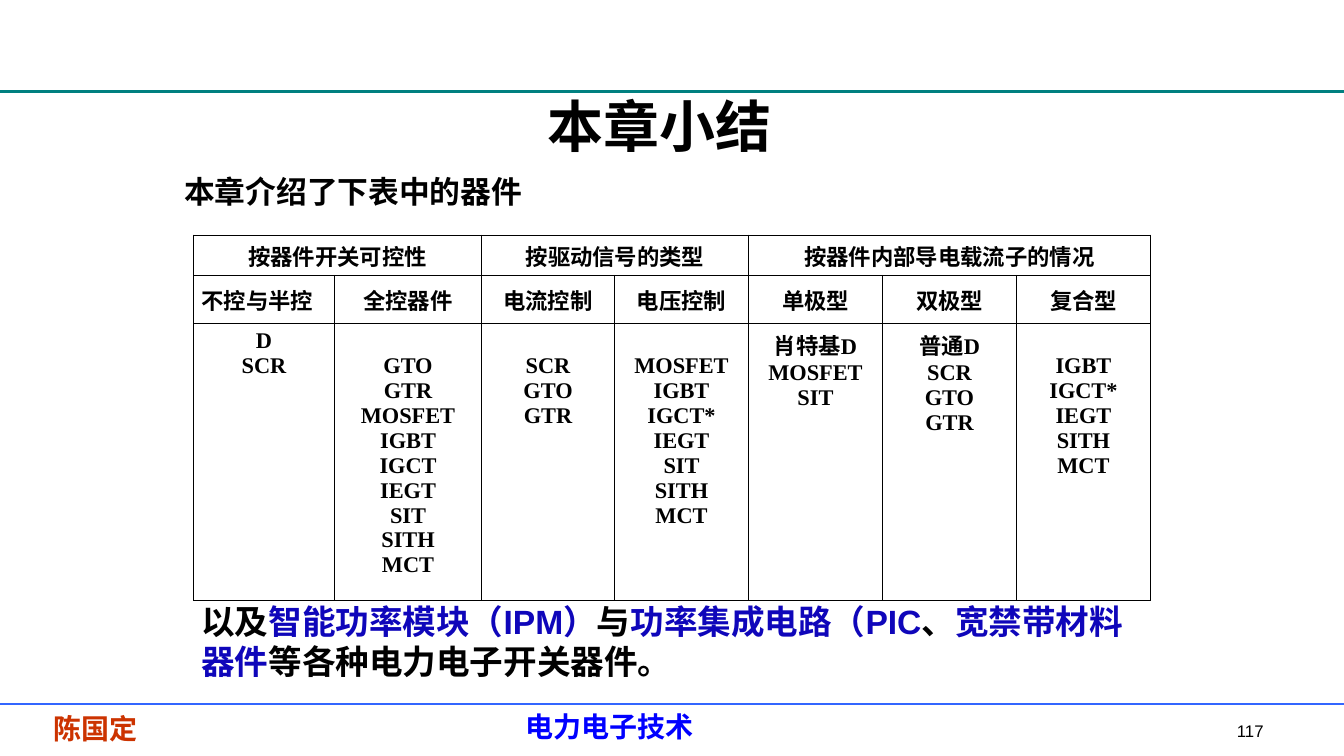
from dataclasses import dataclass

from lxml import etree
from pptx import Presentation
from pptx import util as u
from pptx.dml import color
from pptx.enum import shapes, text
from pptx.oxml import ns


@dataclass(frozen=True)
class Theme:
    black: str = "000000"
    accent: str = "0F06BA"
    teal: str = "008080"
    blue: str = "3366FF"
    course: str = "0000FF"
    author: str = "CC3300"
    title: float = 40
    intro: float = 22
    closing: float = 24
    footer: float = 20
    number: float = 12
    table: float = 16
    border: float = 0.45
    heading_font: str = "Calibri"
    body_font: str = "Arial"
    table_font: str = "Times New Roman"


THEME = Theme()
CENTER = text.PP_ALIGN.CENTER
JUSTIFY = text.PP_ALIGN.JUSTIFY
MIDDLE = text.MSO_ANCHOR.MIDDLE

COLUMN_WIDTHS = [1.4, 1.46, 1.32] + [1.33] * 4
ROW_HEIGHTS = [0.4, 0.48, 2.74]
GROUPS = [("按器件开关可控性", 2), ("按驱动信号的类型", 2), ("按器件内部导电载流子的情况", 3)]
CLASSES = [
    ("不控与半控", 0.05, ["D", "SCR"]),
    ("全控器件", 0.3, ["GTO", "GTR", "MOSFET", "IGBT", "IGCT", "IEGT", "SIT", "SITH", "MCT"]),
    ("电流控制", 0.3, ["SCR", "GTO", "GTR"]),
    ("电压控制", 0.3, ["MOSFET", "IGBT", "IGCT*", "IEGT", "SIT", "SITH", "MCT"]),
    ("单极型", 0.05, ["肖特基D", "MOSFET", "SIT"]),
    ("双极型", 0.05, ["普通D", "SCR", "GTO", "GTR"]),
    ("复合型", 0.3, ["IGBT", "IGCT*", "IEGT", "SITH", "MCT"]),
]
CLOSING = [
    ("以及", THEME.black),
    ("智能功率模块（IPM）", THEME.accent),
    ("与", THEME.black),
    ("功率集成电路（PIC", THEME.accent),
    ("、", THEME.black),
    ("宽禁带材料器件", THEME.accent),
    ("等各种电力电子开关器件。", THEME.black),
]


def add_run(paragraph, words, size, font, tint=THEME.black, bold=True):
    run = paragraph.add_run()
    run.text = words
    run.font.size = u.Pt(size)
    run.font.name = font
    run.font.bold = bold
    run.font.color.rgb = color.RGBColor.from_string(tint)


def add_text(slide, box, runs, size, font, align=None, spacing=None,
             margins=(0.1, 0.05), wrap=True, bold=True):
    frame = slide.shapes.add_textbox(*map(u.Inches, box)).text_frame
    frame.word_wrap = wrap
    frame.margin_left = frame.margin_right = u.Inches(margins[0])
    frame.margin_top = frame.margin_bottom = u.Inches(margins[1])
    paragraph = frame.paragraphs[0]
    paragraph.alignment = align
    paragraph.line_spacing = spacing
    for words, tint in runs:
        add_run(paragraph, words, size, font, tint, bold)


def add_rule(slide, box, tint, weight):
    left, top, width = box
    rule = slide.shapes.add_connector(
        shapes.MSO_CONNECTOR.STRAIGHT,
        *map(u.Inches, (left, top, left + width, top)))
    rule.line.color.rgb = color.RGBColor.from_string(tint)
    rule.line.width = u.Pt(weight)
    etree.SubElement(rule._element.spPr, ns.qn("a:effectLst"))


def add_frame(slide, box):
    left, top, width, height = box
    add_rule(slide, (left, top + 0.91, width), THEME.teal, 2)
    add_rule(slide, (left, top + 6.98, width), THEME.blue, 1.5)
    add_text(slide, (left + 5.12, top + 7.04, 1.87, 0.33), [("电力电子技术", THEME.course)],
             THEME.footer, THEME.body_font, margins=(0.1, 0), wrap=False)
    add_text(slide, (left, top + 7.06, 1.89, 0.33), [("陈国定", THEME.author)],
             THEME.footer, THEME.body_font, CENTER, margins=(0, 0))
    add_text(slide, (left + 12, top + 7.1, 0.82, 0.3), [("117", THEME.black)],
             THEME.number, THEME.body_font, CENTER, bold=False)


def add_title(slide, box):
    title = slide.shapes.title
    title.left, title.top, title.width, title.height = map(u.Inches, box)
    frame = title.text_frame
    frame.auto_size = text.MSO_AUTO_SIZE.NONE
    frame.vertical_anchor = MIDDLE
    heading = frame.paragraphs[0]
    heading.alignment = CENTER
    heading.line_spacing = 0.9
    add_run(heading, "本章小结", THEME.title, THEME.heading_font)


def style_cell(cell):
    properties = cell._tc.get_or_add_tcPr()
    for side in ("a:lnL", "a:lnR", "a:lnT", "a:lnB"):
        border = etree.SubElement(properties, ns.qn(side), w=str(u.Pt(THEME.border)))
        fill = etree.SubElement(border, ns.qn("a:solidFill"))
        etree.SubElement(fill, ns.qn("a:srgbClr"), val=THEME.black)
    cell.fill.background()
    cell.margin_left = cell.margin_right = u.Inches(0.08)


def fill_cell(cell, lines, top=0.05, align=CENTER, anchor=MIDDLE):
    cell.vertical_anchor = anchor
    cell.margin_top = u.Inches(top)
    frame = cell.text_frame
    for index, line in enumerate(lines):
        paragraph = frame.add_paragraph() if index else frame.paragraphs[0]
        paragraph.alignment = align
        add_run(paragraph, line, THEME.table, THEME.table_font)


def add_device_table(slide, box):
    table = slide.shapes.add_table(
        len(ROW_HEIGHTS), len(COLUMN_WIDTHS), *map(u.Inches, box)).table
    table.first_row = table.horz_banding = False
    for column, width in zip(table.columns, COLUMN_WIDTHS):
        column.width = u.Inches(width)
    for row, height in zip(table.rows, ROW_HEIGHTS):
        row.height = u.Inches(height)
    for cell in table.iter_cells():
        style_cell(cell)
    first = 0
    for group, span in GROUPS:
        table.cell(0, first).merge(table.cell(0, first + span - 1))
        fill_cell(table.cell(0, first), [group])
        first += span
    for index, (kind, top, devices) in enumerate(CLASSES):
        fill_cell(table.cell(1, index), [kind], align=CENTER if index else JUSTIFY)
        fill_cell(table.cell(2, index), devices, top, anchor=text.MSO_ANCHOR.TOP)


def add_summary(slide, box):
    left, top, width, height = box
    add_text(slide, (left, top, 4.1, 0.45), [("本章介绍了下表中的器件", THEME.black)],
             THEME.intro, THEME.heading_font, spacing=0.9)
    add_device_table(slide, (left + 0.19, top + 0.62, sum(COLUMN_WIDTHS), sum(ROW_HEIGHTS)))
    add_text(slide, (left + 0.17, top + 4.2, width - 0.17, 0.95), CLOSING,
             THEME.closing, THEME.body_font, spacing=1.0)


def main():
    deck = Presentation()
    deck.slide_width, deck.slide_height = u.Inches(13.34), u.Inches(7.5)
    slide = deck.slides.add_slide(deck.slide_layouts[5])
    add_frame(slide, (0, 0, 13.34, 7.5))
    add_title(slide, (5.06, 0.91, 2.97, 0.75))
    add_summary(slide, (1.73, 1.71, 9.69, 5.15))
    deck.save("out.pptx")


if __name__ == "__main__":
    main()
